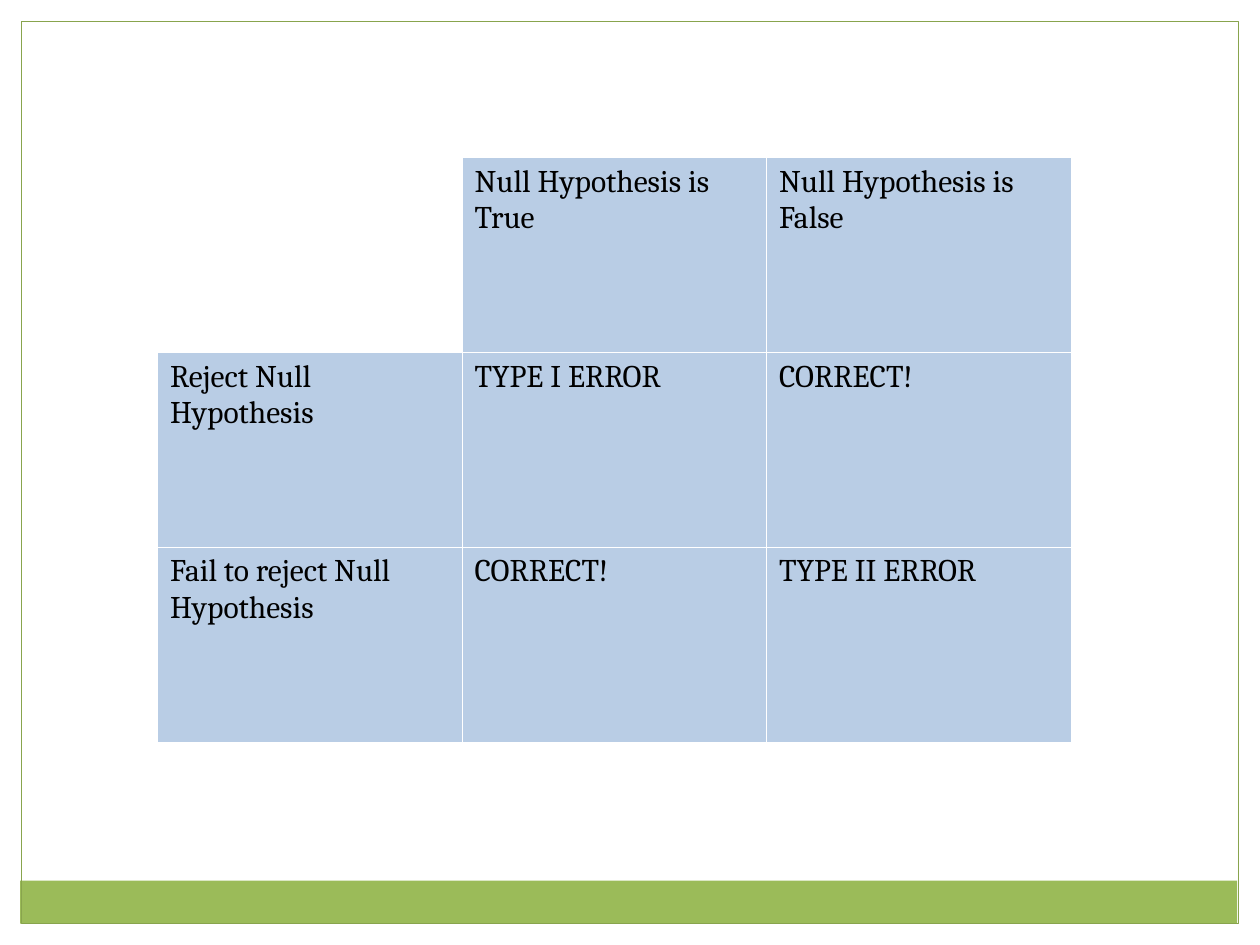
from lxml import etree
from pptx import Presentation
from pptx.dml.color import RGBColor
from pptx.enum.shapes import MSO_SHAPE
from pptx.oxml.ns import qn
from pptx.util import Inches, Pt

RECTANGLE = MSO_SHAPE.RECTANGLE

# Content
DECISIONS = [
    ["", "Null Hypothesis is True", "Null Hypothesis is False"],
    ["Reject Null Hypothesis", "TYPE I ERROR", "CORRECT!"],
    ["Fail to reject Null Hypothesis", "CORRECT!", "TYPE II ERROR"],
]
COLORS = {
    "white": "FFFFFF",
    "text": "000000",
    "cell": "B9CDE5",
    "band": "9BBB59",
    "frame": "88A44D",
}
FONT, FONT_SIZE = "Cambria", 18

# Layout in inches
WIDTH, HEIGHT = 10, 7.5
MARGIN = 0.17
INNER_WIDTH, INNER_HEIGHT = WIDTH - 2 * MARGIN, HEIGHT - 2 * MARGIN
BAND_HEIGHT = 0.34
TABLE_BOX = (1.25, 1.25, 7.25, 4.64)
BORDER_WIDTH = 0.45

# Page decoration from back to front: left, top, width, height, fill, line
DECORATION = [
    (0, 0, WIDTH, MARGIN, "white", None),
    (WIDTH - MARGIN, 0, MARGIN, HEIGHT, "white", None),
    (0, 0, MARGIN, HEIGHT, "white", None),
    (0.16, HEIGHT - MARGIN - BAND_HEIGHT, INNER_WIDTH, BAND_HEIGHT, "band", None),
    (MARGIN, MARGIN, INNER_WIDTH, INNER_HEIGHT, None, "frame"),
]


def color(name):
    return RGBColor.from_string(COLORS[name])


def add_rectangle(slide, left, top, width, height, fill, line):
    shape = slide.shapes.add_shape(
        RECTANGLE, Inches(left), Inches(top), Inches(width), Inches(height))
    shape.shadow.inherit = False
    if fill:
        shape.fill.solid()
        shape.fill.fore_color.rgb = color(fill)
    else:
        shape.fill.background()
    if line:
        shape.line.color.rgb = color(line)
        shape.line.width = Pt(0.75)
    else:
        shape.line.fill.background()


def add_borders(cell):
    properties = cell._tc.get_or_add_tcPr()
    for side in ("lnL", "lnR", "lnT", "lnB"):
        line = etree.SubElement(properties, qn(f"a:{side}"), w=str(Pt(BORDER_WIDTH)))
        fill = etree.SubElement(line, qn("a:solidFill"))
        etree.SubElement(fill, qn("a:srgbClr"), val=COLORS["white"])


def add_decision_table(slide):
    table = slide.shapes.add_table(
        len(DECISIONS), len(DECISIONS[0]),
        *(Inches(length) for length in TABLE_BOX)).table
    table.first_row = False
    table.horz_banding = False
    for row, texts in enumerate(DECISIONS):
        for column, text in enumerate(texts):
            cell = table.cell(row, column)
            add_borders(cell)
            cell.fill.solid()
            cell.fill.fore_color.rgb = color("cell" if text else "white")
            cell.text = text
            font = cell.text_frame.paragraphs[0].font
            font.name, font.size = FONT, Pt(FONT_SIZE)
            font.color.rgb = color("text")


def main():
    presentation = Presentation()
    presentation.slide_width = Inches(WIDTH)
    presentation.slide_height = Inches(HEIGHT)
    slide = presentation.slides.add_slide(presentation.slide_layouts[6])

    # Margins, bottom band and page frame
    for rectangle in DECORATION:
        add_rectangle(slide, *rectangle)

    add_decision_table(slide)
    presentation.save("out.pptx")


if __name__ == "__main__":
    main()
